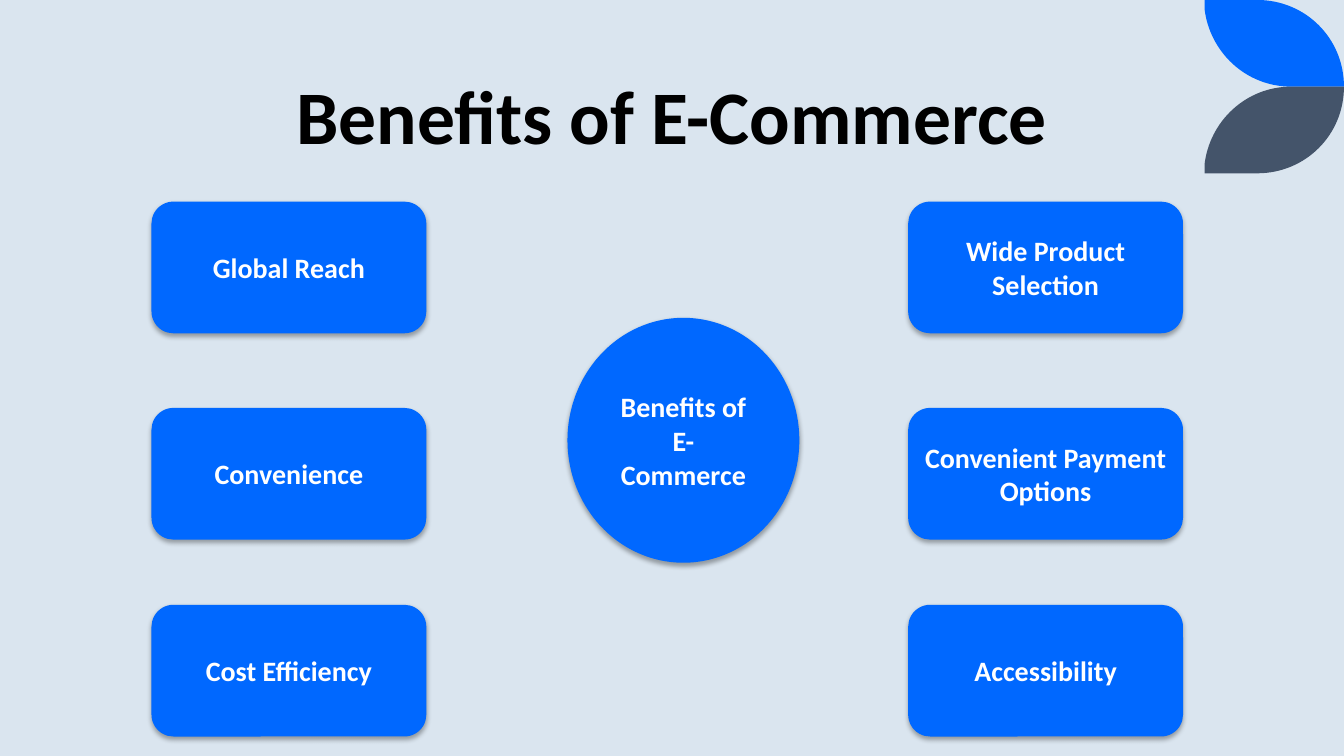
"""Build a slide with six e-commerce benefits around a central circle."""
from dataclasses import dataclass

from lxml.etree import SubElement
from pptx import Presentation
from pptx.dml.color import RGBColor
from pptx.enum.shapes import MSO_SHAPE as Preset
from pptx.enum.text import MSO_ANCHOR as Anchor, MSO_AUTO_SIZE as AutoSize, PP_ALIGN as Align
from pptx.oxml.ns import qn
from pptx.util import Inches, Pt

COLUMNS, ROWS = 40, 22.5
CELL = Inches(13.333) / COLUMNS


@dataclass(frozen=True)
class Theme:
    """Colours and type sizes of the slide."""
    background: str = "DAE5EF"
    accent: str = "0068FF"
    slate: str = "44546A"
    heading: str = "000000"
    label: str = "FFFFFF"
    shadow: str = "000000"
    font: str = "Calibri"
    heading_size: int = 54
    label_size: int = 20


THEME = Theme()


def grid(*cells):
    """Turn columns and rows into slide lengths."""
    return [round(cell * CELL) for cell in cells]


def paint(fill, colour):
    """Give a fill one solid colour."""
    fill.solid()
    fill.fore_color.rgb = RGBColor.from_string(colour)


def write(frame, words, size, colour, anchor):
    """Write one centred bold paragraph."""
    frame.word_wrap = True
    frame.auto_size = AutoSize.NONE
    frame.vertical_anchor = anchor
    line = frame.paragraphs[0]
    line.text = words
    line.alignment = Align.CENTER
    line.font.name = THEME.font
    line.font.size = Pt(size)
    line.font.bold = True
    line.font.color.rgb = RGBColor.from_string(colour)
    return line


def bend(segment, controls):
    """Turn a straight outline segment into a cubic curve."""
    segment.tag = qn("a:cubicBezTo")
    for index, (x, y) in enumerate(controls):
        segment.insert(index, segment.makeelement(qn("a:pt"), x=str(x), y=str(y)))


def add_leaf(slide, colour, tip, base):
    """Draw a curved corner leaf between two rows."""
    left, rise, top = 35.85, base - tip, min(tip, base)
    corners = [(37.42, tip), (COLUMNS, base), (38.43, base), (left, tip + 0.1 * rise)]
    builder = slide.shapes.build_freeform(*grid(left, tip))
    builder.add_line_segments([grid(*corner) for corner in corners], close=True)
    leaf = builder.convert_to_shape()
    leaf.shadow.inherit = False
    leaf.line.fill.background()
    paint(leaf.fill, colour)

    segments = list(leaf._element.iter(qn("a:lnTo")))
    outer = (38.85, tip), (COLUMNS, tip + 0.44 * rise)
    inner = (37.08, base), (36, tip + 0.6 * rise)
    for segment, controls in ((segments[1], outer), (segments[3], inner)):
        bend(segment, [grid(x - left, y - top) for x, y in controls])


def add_heading(slide, words):
    """Place and format the title placeholder."""
    heading = slide.shapes.title
    heading.left, heading.top, heading.width, heading.height = grid(4.17, 1.35, 31.65, 3.54)
    line = write(heading.text_frame, words, THEME.heading_size, THEME.heading, Anchor.BOTTOM)
    line.line_spacing = 0.8


def add_soft_shadow(shape):
    """Put a soft shadow under a shape."""
    shape.shadow.inherit = False
    effects = shape._element.spPr.find(qn("a:effectLst"))
    shadow = SubElement(effects, qn("a:outerShdw"), blurRad=str(Pt(3.5)), dist=str(Pt(2.2)),
                        dir="5400000", algn="ctr", rotWithShape="0")
    tint = SubElement(shadow, qn("a:srgbClr"), val=THEME.shadow)
    SubElement(tint, qn("a:alpha"), val="32000")


def add_benefit(slide, preset, words, *cells):
    """Add a labelled shape with a soft shadow."""
    benefit = slide.shapes.add_shape(preset, *grid(*cells))
    paint(benefit.fill, THEME.accent)
    benefit.line.fill.background()
    add_soft_shadow(benefit)
    write(benefit.text_frame, words, THEME.label_size, THEME.label, Anchor.MIDDLE)


def main():
    """Assemble and save the slide."""
    deck = Presentation()
    deck.slide_width, deck.slide_height = grid(COLUMNS, ROWS)
    slide = deck.slides.add_slide(deck.slide_layouts[5])
    paint(slide.background.fill, THEME.background)

    add_leaf(slide, THEME.accent, 0, 2.58)
    add_leaf(slide, THEME.slate, 5.16, 2.58)
    add_heading(slide, "Benefits of E-Commerce")

    sides = {
        27.03: ("Wide Product Selection", "Convenient Payment Options", "Accessibility"),
        4.51: ("Global Reach", "Convenience", "Cost Efficiency"),
    }
    for column, benefits in sides.items():
        for row, words in zip((6, 12.14, 18), benefits):
            add_benefit(slide, Preset.ROUNDED_RECTANGLE, words, column, row, 8.18, 3.92)
    add_benefit(slide, Preset.OVAL, "Benefits of E-Commerce", 16.89, 9.46, 6.9, 7.29)

    deck.save("out.pptx")


if __name__ == "__main__":
    main()
